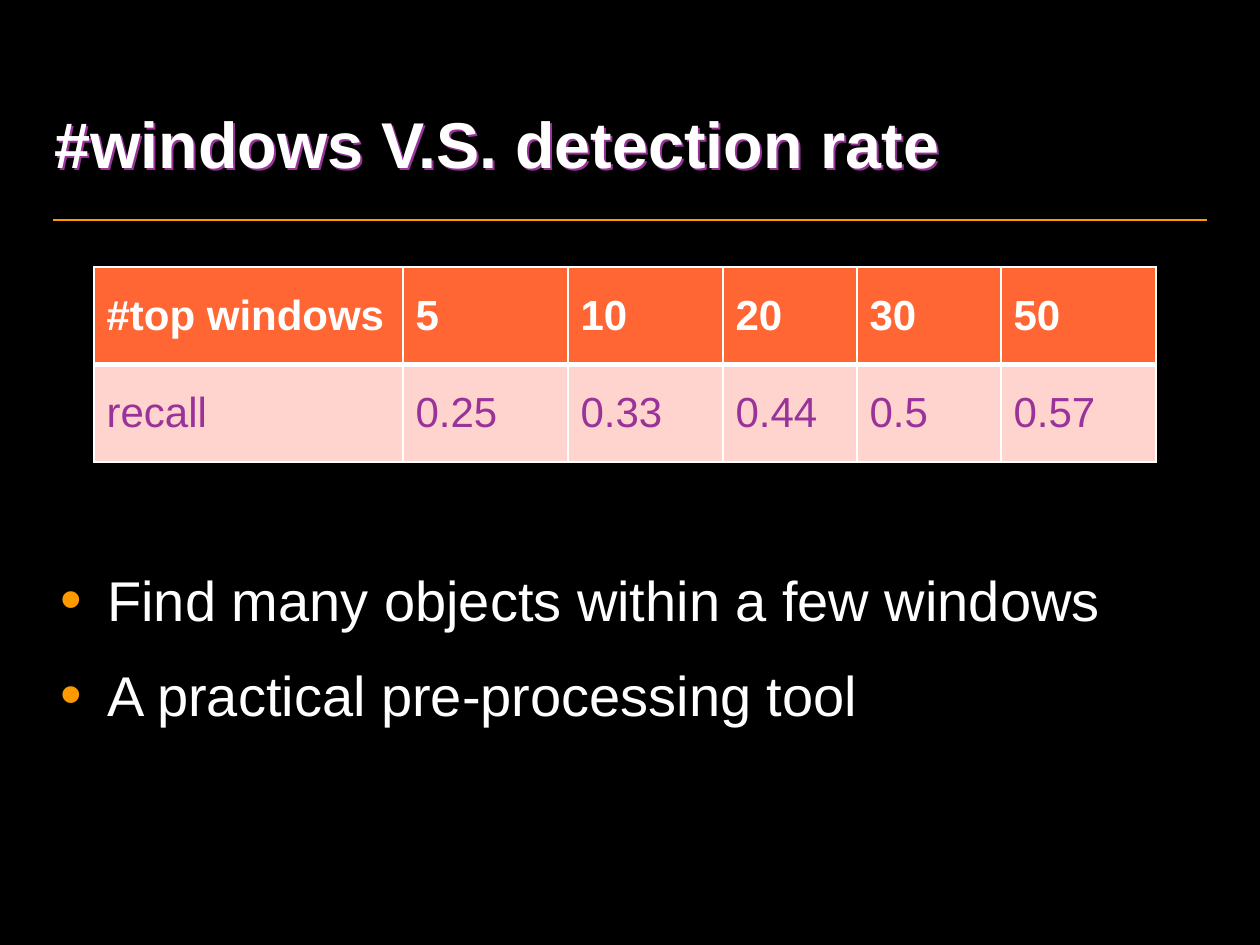
"""Build the slide on the number of windows and the detection rate."""
from lxml.etree import SubElement
from pptx import Presentation
from pptx.dml.color import RGBColor as Color
from pptx.enum.shapes import MSO_CONNECTOR as Connector
from pptx.enum.text import MSO_ANCHOR as Anchor
from pptx.oxml.ns import qn
from pptx.util import Emu, Pt

COLORS = {
    "background": "000000", "text": "FFFFFF", "accent": "FF9900",
    "purple": "993399", "header": "FF6633", "row": "FFD3CE",
}
SCALE = 914400 / 126


def px(*lengths):
    return [Emu(round(length * SCALE)) for length in lengths]


def write(para, text, size, color, bold=False):
    span = para.add_run()
    span.text = text
    for name, value in {"name": "Arial", "size": Pt(size), "bold": bold}.items():
        setattr(span.font, name, value)
    span.font.color.rgb = Color.from_string(COLORS[color])


deck = Presentation()
deck.slide_width, deck.slide_height = px(1260, 945)
page = deck.slides.add_slide(deck.slide_layouts[6])
page.background.fill.solid()
page.background.fill.fore_color.rgb = Color.from_string(COLORS["background"])

rule = page.shapes.add_connector(Connector.STRAIGHT, *px(53, 220, 1207, 220))
rule.line.color.rgb = Color.from_string(COLORS["accent"])
rule.line.width = Pt(1)
SubElement(rule._element.spPr, qn("a:effectLst"))

title = page.shapes.add_textbox(*px(42, 59, 1176, 168))
title.text_frame.word_wrap = True
title.text_frame.vertical_anchor = Anchor.MIDDLE
write(title.text_frame.paragraphs[0], "#windows V.S. detection rate", 37, "text", True)
effects = SubElement(title._element.spPr, qn("a:effectLst"))
shadow = SubElement(effects, qn("a:outerShdw"), dist=str(px(3)[0]), dir="2700000", algn="ctr")
SubElement(shadow, qn("a:srgbClr"), val=COLORS["purple"])

body = page.shapes.add_textbox(*px(48, 553, 1159, 350))
body.text_frame.word_wrap = True
points = ["Find many objects within a few windows", "A practical pre-processing tool"]
for index, point in enumerate(points):
    para = body.text_frame.add_paragraph() if index else body.text_frame.paragraphs[0]
    spacing = {"line_spacing": 1.1, "space_before": Pt(6 if index else 0), "space_after": Pt(6)}
    for name, value in spacing.items():
        setattr(para, name, value)
    layout = para._p.get_or_add_pPr()
    indent = px(47)[0]
    layout.set("marL", str(indent))
    layout.set("indent", str(-indent))
    bullet_color = SubElement(layout, qn("a:buClr"))
    SubElement(bullet_color, qn("a:srgbClr"), val=COLORS["accent"])
    SubElement(layout, qn("a:buSzPct"), val="110000")
    SubElement(layout, qn("a:buFont"), typeface="Arial")
    SubElement(layout, qn("a:buChar"), char="•")
    write(para, point, 32, "text")

rows = [
    ["#top windows", "5", "10", "20", "30", "50"],
    ["recall", "0.25", "0.33", "0.44", "0.5", "0.57"],
]
styles = [
    {"fill": "header", "color": "text", "bold": True, "borders": {"L": 1, "R": 1, "T": 1, "B": 3}},
    {"fill": "row", "color": "purple", "bold": False, "borders": {"L": 1, "R": 1, "T": 3, "B": 1}},
]
widths = [309, 165, 155, 134, 144, 155]
table = page.shapes.add_table(2, len(widths), *px(94, 267, sum(widths), 195)).table
for column, width in zip(table.columns, px(*widths)):
    column.width = width
for row, values, style in zip(table.rows, rows, styles):
    for cell, value in zip(row.cells, values):
        cell.vertical_anchor = Anchor.MIDDLE
        for side, width in style["borders"].items():
            border = SubElement(cell._tc.get_or_add_tcPr(), qn(f"a:ln{side}"), w=str(Pt(width)))
            paint = SubElement(border, qn("a:solidFill"))
            SubElement(paint, qn("a:srgbClr"), val=COLORS["text"])
        cell.fill.solid()
        cell.fill.fore_color.rgb = Color.from_string(COLORS[style["fill"]])
        write(cell.text_frame.paragraphs[0], value, 24, style["color"], style["bold"])

deck.save("out.pptx")
